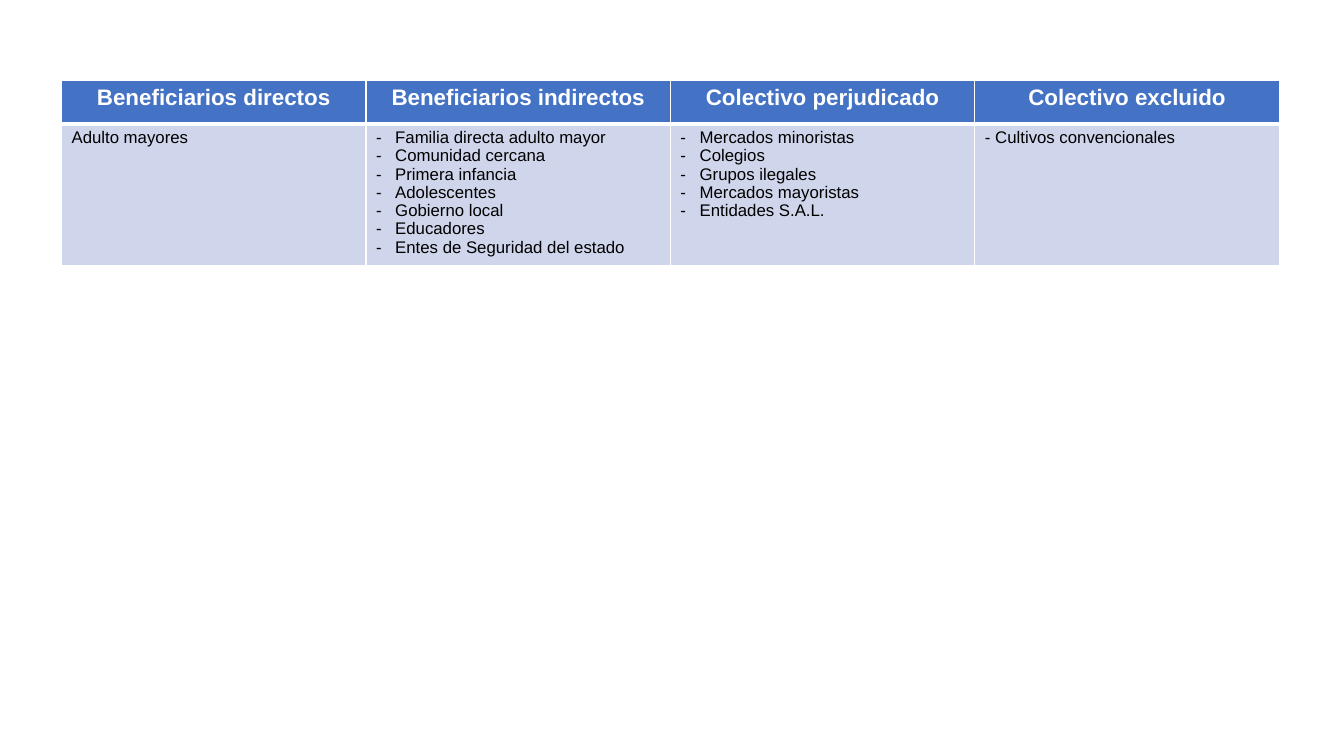
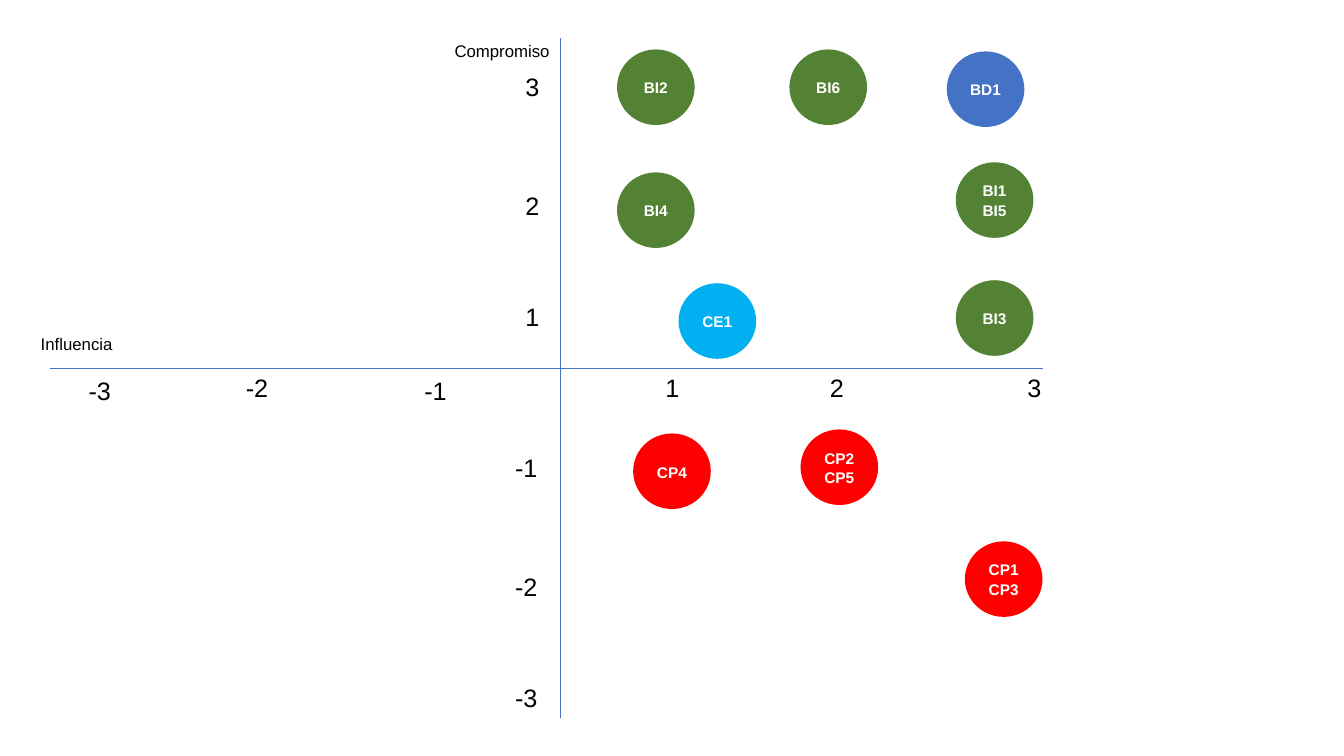
from lxml import etree
from pptx import Presentation
from pptx import util as u
from pptx.dml.color import RGBColor
from pptx.enum import shapes, text
from pptx.oxml import ns

FONT = "Arial"
COLORS = {
    "blue": "4472C4",
    "green": "548235",
    "red": "FF0000",
    "cyan": "00B0F0",
    "pale": "CFD5EA",
    "white": "FFFFFF",
    "black": "000000",
}

GROUPS = [
    ("Beneficiarios directos", ["Adulto mayores"]),
    ("Beneficiarios indirectos", [
        "Familia directa adulto mayor", "Comunidad cercana", "Primera infancia",
        "Adolescentes", "Gobierno local", "Educadores", "Entes de Seguridad del estado",
    ]),
    ("Colectivo perjudicado", [
        "Mercados minoristas", "Colegios", "Grupos ilegales",
        "Mercados mayoristas", "Entidades S.A.L.",
    ]),
    ("Colectivo excluido", ["- Cultivos convencionales"]),
]

AXES = [((5.56, 0.38), (5.56, 7.12)), ((0.5, 3.65), (10.34, 3.65))]
AXIS_NAMES = [("Compromiso", 4.29, 0.36), ("Influencia", 0.07, 3.26)]
INFLUENCE_TICKS = [
    ("-3", 0.76, 3.67), ("-2", 2.32, 3.64), ("-1", 4.09, 3.67),
    ("1", 6.44, 3.64), ("2", 8.07, 3.64), ("3", 10.03, 3.64),
]
COMMITMENT_TICKS = [
    ("3", 5.05, 0.66), ("2", 5.05, 1.84), ("1", 5.05, 2.94),
    ("-1", 4.99, 4.44), ("-2", 4.99, 5.62), ("-3", 4.99, 6.72),
]
ACTOR_COLORS = {"BD": "blue", "BI": "green", "CP": "red", "CE": "cyan"}
ACTORS = [
    (["BD1"], 9.39, 0.51),
    (["BI1", "BI5"], 9.48, 1.61),
    (["BI2"], 6.12, 0.49),
    (["BI6"], 7.83, 0.49),
    (["BI4"], 6.12, 1.71),
    (["BI3"], 9.48, 2.78),
    (["CP1", "CP3"], 9.57, 5.37),
    (["CP2", "CP5"], 7.94, 4.26),
    (["CP4"], 6.28, 4.3),
    (["CE1"], 6.73, 2.81),
]


def color(name):
    return RGBColor.from_string(COLORS[name])


def paint(part, name):
    part.fill.solid()
    part.fill.fore_color.rgb = color(name)


def write(frame, lines, size, ink="black", bold=False, centered=True, spacing=None):
    for index, line in enumerate(lines):
        paragraph = frame.paragraphs[0] if index == 0 else frame.add_paragraph()
        paragraph.alignment = text.PP_ALIGN.CENTER if centered else text.PP_ALIGN.LEFT
        if spacing:
            paragraph.line_spacing = spacing
        run = paragraph.add_run()
        run.text = line
        run.font.name = FONT
        run.font.size = u.Pt(size)
        run.font.bold = bold
        run.font.color.rgb = color(ink)


def add_dashes(frame):
    for paragraph in frame.paragraphs:
        props = paragraph._p.get_or_add_pPr()
        props.set("marL", str(u.Inches(0.19)))
        props.set("indent", str(u.Inches(-0.19)))
        etree.SubElement(props, ns.qn("a:buFont")).set("typeface", FONT)
        etree.SubElement(props, ns.qn("a:buChar")).set("char", "-")


def add_borders(cell, bottom):
    props = cell._tc.get_or_add_tcPr()
    widths = {"lnL": 1, "lnR": 1, "lnT": 1, "lnB": bottom}
    for place, (side, width) in enumerate(widths.items()):
        border = etree.Element(ns.qn("a:" + side), w=str(u.Pt(width)))
        fill = etree.SubElement(border, ns.qn("a:solidFill"))
        etree.SubElement(fill, ns.qn("a:srgbClr")).set("val", COLORS["white"])
        props.insert(place, border)


def add_label(slide, label, left, top, width, height, size):
    box = slide.shapes.add_textbox(*map(u.Inches, (left, top, width, height)))
    box.text_frame.word_wrap = True
    write(box.text_frame, [label], size)


def add_axis(slide, start, end):
    axis = slide.shapes.add_connector(
        shapes.MSO_CONNECTOR.STRAIGHT, *map(u.Inches, start + end))
    axis.line.color.rgb = color("blue")
    axis.line.width = u.Pt(0.5)
    etree.SubElement(axis._element.spPr, ns.qn("a:effectLst"))


def add_actor(slide, codes, left, top):
    circle = slide.shapes.add_shape(
        shapes.MSO_SHAPE.OVAL, *map(u.Inches, (left, top, 0.77, 0.75)))
    circle.shadow.inherit = False
    paint(circle, ACTOR_COLORS[codes[0][:2]])
    circle.line.fill.background()
    circle.text_frame.vertical_anchor = text.MSO_ANCHOR.MIDDLE
    write(circle.text_frame, codes, 11, "white", bold=True, spacing=1.07)


def build_groups(slide):
    table = slide.shapes.add_table(
        2, len(GROUPS), *map(u.Inches, (0.61, 0.8, 12.08, 1.83))).table
    for row, height in zip(table.rows, (0.43, 1.4)):
        row.height = u.Inches(height)
    for column, (heading, members) in enumerate(GROUPS):
        table.columns[column].width = u.Inches(3.02)
        head, body = table.cell(0, column), table.cell(1, column)
        add_borders(head, bottom=3)
        add_borders(body, bottom=1)
        paint(head, "blue")
        paint(body, "pale")
        write(head.text_frame, [heading], 16, "white", bold=True, spacing=0.97)
        write(body.text_frame, members, 12, centered=False, spacing=0.97)
        if len(members) > 1:
            add_dashes(body.text_frame)


def build_map(slide):
    for start, end in AXES:
        add_axis(slide, start, end)
    for tick in INFLUENCE_TICKS + COMMITMENT_TICKS:
        add_label(slide, *tick, 0.46, 0.4, 18)
    for name in AXIS_NAMES:
        add_label(slide, *name, 1.38, 0.3, 12)
    for actor in ACTORS:
        add_actor(slide, *actor)


def main():
    deck = Presentation()
    deck.slide_width, deck.slide_height = u.Inches(13.33), u.Inches(7.5)
    for build in (build_groups, build_map):
        build(deck.slides.add_slide(deck.slide_layouts[6]))
    deck.save("out.pptx")


if __name__ == "__main__":
    main()
